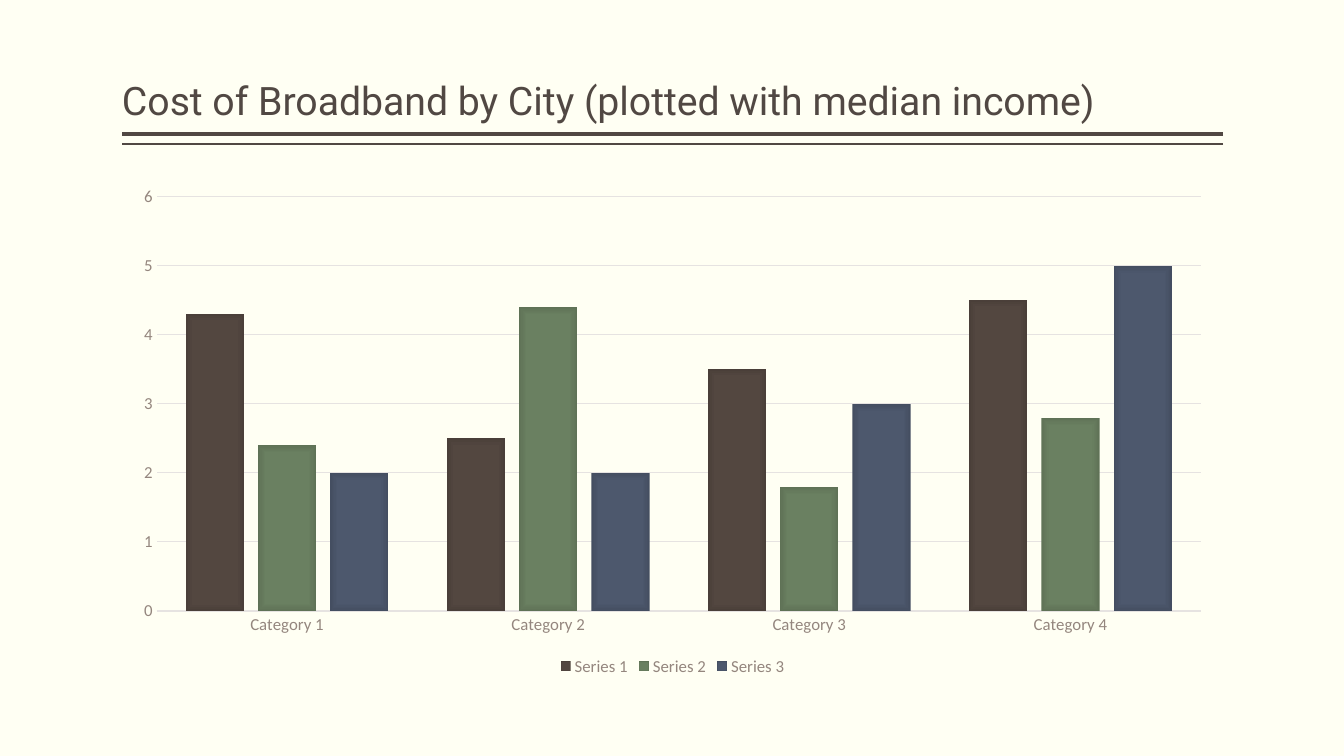
from dataclasses import dataclass

from pptx import Presentation
from pptx.chart.data import CategoryChartData
from pptx.dml.color import RGBColor
from pptx.enum.chart import XL_CHART_TYPE, XL_LEGEND_POSITION, XL_TICK_MARK
from pptx.enum.shapes import MSO_CONNECTOR
from pptx.enum.text import MSO_ANCHOR, PP_ALIGN
from pptx.oxml import parse_xml
from pptx.oxml.ns import nsdecls, qn
from pptx.oxml.xmlchemy import OxmlElement
from pptx.util import Inches, Pt

COLUMN_CLUSTERED = XL_CHART_TYPE.COLUMN_CLUSTERED
LEGEND_BOTTOM = XL_LEGEND_POSITION.BOTTOM
NO_TICK = XL_TICK_MARK.NONE
STRAIGHT = MSO_CONNECTOR.STRAIGHT
ANCHOR_BOTTOM = MSO_ANCHOR.BOTTOM
ALIGN_LEFT = PP_ALIGN.LEFT


@dataclass(frozen=True)
class Theme:
    background: str = "FFFFF3"
    ink: str = "514843"
    label: str = "94867E"
    grid: str = "E6E3E1"
    # Each column colour runs from centre to edge
    columns: tuple = (
        ("544740", "534740", "4A3F39"),
        ("6B8162", "6A8061", "5F7256"),
        ("4E596E", "4D586D", "444E61"),
    )
    gradient_stops: tuple = (0, 71, 100)
    title_font: str = "Roboto"
    chart_font: str = "Calibri"
    title_size: int = 28
    chart_size: int = 10
    label_size: int = 12


THEME = Theme()
TITLE = "Cost of Broadband by City (plotted with median income)"
CATEGORIES = [f"Category {number}" for number in range(1, 5)]
SERIES = {
    "Series 1": (4.3, 2.5, 3.5, 4.5),
    "Series 2": (2.4, 4.4, 1.8, 2.8),
    "Series 3": (2, 2, 3, 5),
}


def style_font(font, name, size, color):
    font.name = name
    font.size = Pt(size)
    font.color.rgb = RGBColor.from_string(color)


def style_line(line, color, width):
    line.color.rgb = RGBColor.from_string(color)
    line.width = Pt(width)


def fill_from_centre(series, colors):
    """Give a chart series a rectangular gradient."""
    series.format.fill.gradient()
    stops = "".join(
        f'<a:gs pos="{stop * 1000}"><a:srgbClr val="{color}"/></a:gs>'
        for stop, color in zip(THEME.gradient_stops, colors)
    )
    gradient = parse_xml(
        f'<a:gradFill {nsdecls("a")} rotWithShape="1"><a:gsLst>{stops}</a:gsLst>'
        '<a:path path="rect"><a:fillToRect l="50000" t="50000" r="50000" b="50000"/>'
        "</a:path></a:gradFill>"
    )
    linear = series.format.fill and series._element.find(".//" + qn("a:gradFill"))
    linear.getparent().replace(linear, gradient)


def add_header(slide, left, top, width, height):
    # Title
    box = slide.shapes.add_textbox(
        Inches(left), Inches(top), Inches(width), Inches(height)
    )
    frame = box.text_frame
    frame.word_wrap = True
    frame.vertical_anchor = ANCHOR_BOTTOM
    frame.margin_left = frame.margin_right = 0
    frame.margin_top = frame.margin_bottom = Inches(0.05)
    paragraph = frame.paragraphs[0]
    paragraph.text = TITLE
    paragraph.alignment = ALIGN_LEFT
    paragraph.line_spacing = 0.9
    style_font(paragraph.font, THEME.title_font, THEME.title_size, THEME.ink)

    # Thick and thin rules below the title
    for gap, weight in ((0.05, 3), (0.15, 1)):
        y = Inches(top + height + gap)
        rule = slide.shapes.add_connector(
            STRAIGHT, Inches(left + width), y, Inches(left), y
        )
        style_line(rule.line, THEME.ink, weight)
        rule._element.spPr.append(OxmlElement("a:effectLst"))


def add_cost_chart(slide, left, top, width, height):
    chart_data = CategoryChartData()
    chart_data.categories = CATEGORIES
    for name, values in SERIES.items():
        chart_data.add_series(name, values)
    chart = slide.shapes.add_chart(
        COLUMN_CLUSTERED,
        Inches(left), Inches(top), Inches(width), Inches(height),
        chart_data,
    ).chart
    chart.has_title = False
    style_font(chart.font, THEME.chart_font, THEME.chart_size, THEME.ink)

    # Columns
    plot = chart.plots[0]
    plot.gap_width = 100
    plot.overlap = -24
    plot.vary_by_categories = False
    for series, colors in zip(plot.series, THEME.columns):
        fill_from_centre(series, colors)

    # Axes
    category_axis, value_axis = chart.category_axis, chart.value_axis
    for axis in (category_axis, value_axis):
        axis.major_tick_mark = axis.minor_tick_mark = NO_TICK
        style_font(
            axis.tick_labels.font, THEME.chart_font, THEME.label_size, THEME.label
        )
    style_line(category_axis.format.line, THEME.grid, 1)
    value_axis.format.line.fill.background()
    value_axis.has_major_gridlines = True
    style_line(value_axis.major_gridlines.format.line, THEME.grid, 0.75)

    # Legend
    chart.has_legend = True
    chart.legend.position = LEGEND_BOTTOM
    chart.legend.include_in_layout = False
    style_font(chart.legend.font, THEME.chart_font, THEME.label_size, THEME.label)


def main():
    presentation = Presentation()
    presentation.slide_width = Inches(13.33)
    presentation.slide_height = Inches(7.5)
    slide = presentation.slides.add_slide(presentation.slide_layouts[6])
    background = slide.background.fill
    background.solid()
    background.fore_color.rgb = RGBColor.from_string(THEME.background)

    left, width = 1.21, 10.92
    add_header(slide, left, 0.08, width, 1.2)
    add_cost_chart(slide, left, 1.75, width, 5)
    presentation.save("out.pptx")


if __name__ == "__main__":
    main()
